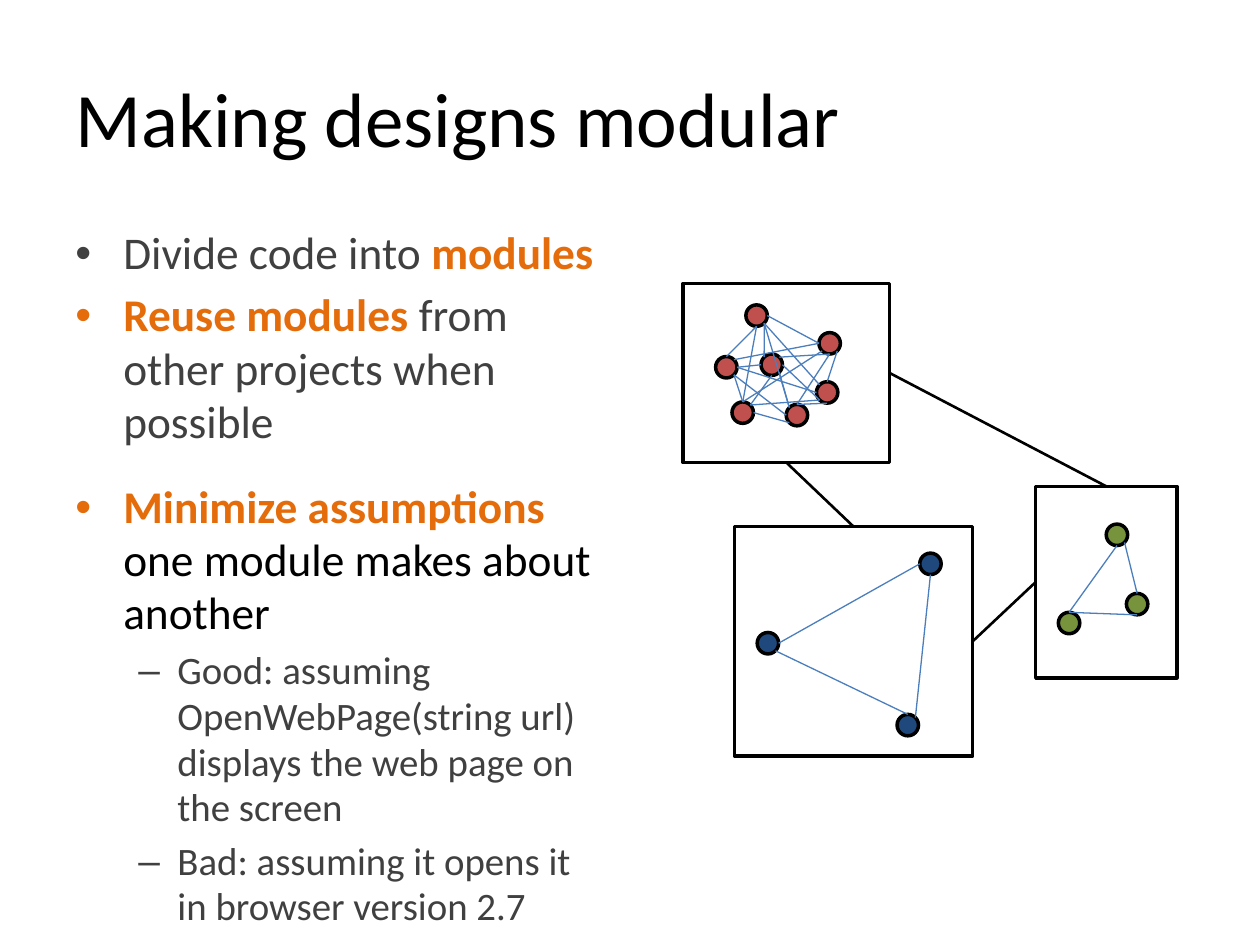
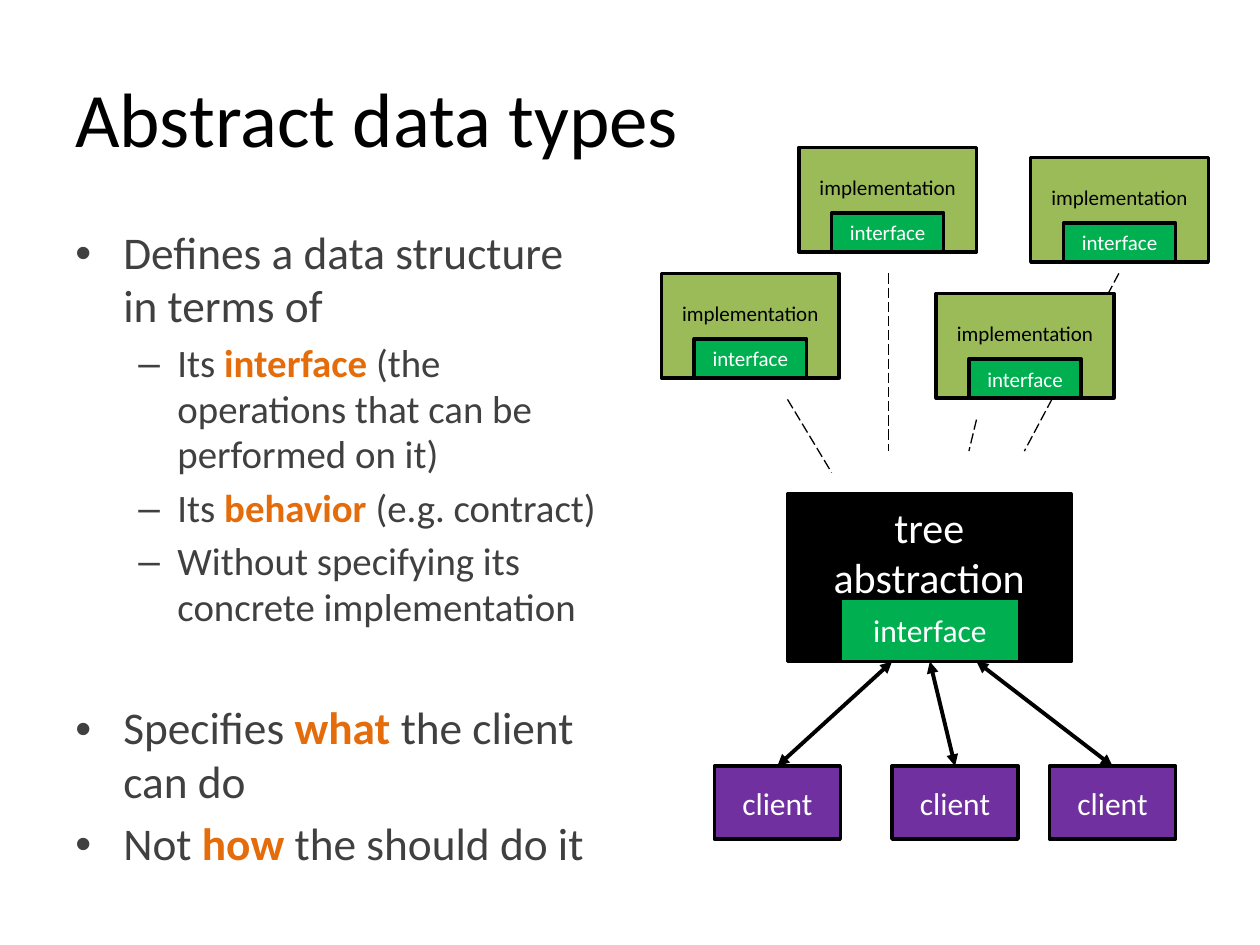
from math import copysign, sqrt

from lxml import etree
from pptx import Presentation
from pptx.dml.color import RGBColor
from pptx.enum.dml import MSO_LINE
from pptx.enum.shapes import MSO_CONNECTOR, MSO_SHAPE
from pptx.enum.text import MSO_ANCHOR, PP_ALIGN
from pptx.oxml.ns import qn
from pptx.util import Inches, Pt

RECTANGLE, ELLIPSE = MSO_SHAPE.RECTANGLE, MSO_SHAPE.OVAL
STRAIGHT, LONG_DASH = MSO_CONNECTOR.STRAIGHT, MSO_LINE.LONG_DASH
MIDDLE, CENTER = MSO_ANCHOR.MIDDLE, PP_ALIGN.CENTER

BLACK = RGBColor(0x00, 0x00, 0x00)
WHITE = RGBColor(0xFF, 0xFF, 0xFF)
GRAY = RGBColor(0x40, 0x40, 0x40)
ORANGE = RGBColor(0xE4, 0x6C, 0x0A)
EDGE_BLUE = RGBColor(0x4B, 0x7E, 0xBC)
NAVY = RGBColor(0x1F, 0x49, 0x7D)
RED = RGBColor(0xC0, 0x50, 0x4D)
OLIVE = RGBColor(0x77, 0x93, 0x3C)
LIME = RGBColor(0x9B, 0xBB, 0x59)
GREEN = RGBColor(0x00, 0xB0, 0x50)
PURPLE = RGBColor(0x70, 0x30, 0xA0)

# Level: bullet, left margin, hanging indent, font size, space before
LEVELS = [("•", 0.38, 0.38, 25.9, 5.2), ("–", 0.81, 0.31, 22.2, 4.4)]
DOT_SIZE = 0.17
DIRECTIONS = {"N": (0, -1), "E": (1, 0), "S": (0, 1), "W": (-1, 0),
              "NE": (1, -1), "SE": (1, 1), "SW": (-1, 1), "NW": (-1, -1)}


def site(box, direction):
    """Point on the outline of a box or dot, in inches."""
    across, down = DIRECTIONS[direction]
    if across and down:
        across, down = (copysign(sqrt(0.5), step) for step in (across, down))
    return ((box.left + box.width * (1 + across) / 2) / Inches(1),
            (box.top + box.height * (1 + down) / 2) / Inches(1))


class SlideBuilder:
    font_name = "Calibri"

    def __init__(self):
        self.deck = Presentation()
        self.deck.slide_width, self.deck.slide_height = Inches(10), Inches(7.5)
        self.page = None

    def new_page(self, title):
        self.page = self.deck.slides.add_slide(self.deck.slide_layouts[6])
        frame = self.text_frame(0.5, 0.3, 9, 1.25)
        frame.vertical_anchor = MIDDLE
        para = frame.paragraphs[0]
        para.text = title
        self.style(para.font, 44, BLACK)

    def style(self, font, size, color):
        font.name, font.size, font.color.rgb = self.font_name, Pt(size), color

    def text_frame(self, *place):
        frame = self.page.shapes.add_textbox(*map(Inches, place)).text_frame
        frame.word_wrap = True
        return frame

    def bullets(self, items):
        """Each item: level, spans as (text, color), optional space before."""
        frame = self.text_frame(0.5, 1.75, 4.42, 4.95)
        for index, (level, spans, *space) in enumerate(items):
            symbol, margin, hanging, size, usual_space = LEVELS[level]
            para = frame.add_paragraph() if index else frame.paragraphs[0]
            para.level = level
            para.line_spacing = 0.98
            para.space_before = Pt(space[0] if space else usual_space)
            para.font.name, para.font.size = self.font_name, Pt(size)
            for text, color in spans:
                span = para.add_run()
                span.text = text
                self.style(span.font, size, color)
                span.font.bold = color == ORANGE
            properties = para._p.get_or_add_pPr()
            properties.set("marL", str(Inches(margin)))
            properties.set("indent", str(-Inches(hanging)))
            bullet_font = etree.SubElement(properties, qn("a:buFont"))
            bullet_font.set("typeface", "Arial")
            etree.SubElement(properties, qn("a:buChar")).set("char", symbol)
            # Default run properties belong after the bullet
            properties.append(properties.find(qn("a:defRPr")))

    def shape(self, kind, place, fill=None, text="", size=18, color=WHITE,
              bottom_inset=0.05):
        box = self.page.shapes.add_shape(kind, *map(Inches, place))
        box.shadow.inherit = False
        if fill is None:
            box.fill.background()
        else:
            box.fill.solid()
            box.fill.fore_color.rgb = fill
        box.line.color.rgb, box.line.width = BLACK, Pt(2)
        if text:
            frame = box.text_frame
            frame.word_wrap = True
            frame.vertical_anchor = MIDDLE
            frame.margin_bottom = Inches(bottom_inset)
            para = frame.paragraphs[0]
            para.text, para.alignment = text, CENTER
            self.style(para.font, size, color)
        return box

    def line(self, start, end, color=BLACK, width=0.75, dash=None, arrows=False):
        link = self.page.shapes.add_connector(
            STRAIGHT, *map(Inches, (*start, *end)))
        link.line.color.rgb, link.line.width = color, Pt(width)
        if dash is not None:
            link.line.dash_style = dash
        if arrows:
            outline = link.line._get_or_add_ln()
            for tag in ("a:headEnd", "a:tailEnd"):
                etree.SubElement(outline, qn(tag)).set("type", "triangle")
        etree.SubElement(link._element.spPr, qn("a:effectLst"))

    def network(self, fill, corners, edges):
        """Dots at the corners; an edge such as 0E-1W joins two dot sites."""
        dots = [self.shape(ELLIPSE, (*corner, DOT_SIZE, DOT_SIZE), fill)
                for corner in corners]
        for edge in edges.split():
            start, end = (site(dots[int(name[0])], name[1:])
                          for name in edge.split("-"))
            self.line(start, end, EDGE_BLUE)

    def implementation(self, left, top):
        self.shape(RECTANGLE, (left, top, 1.41, 0.83), LIME,
                   "implementation", 12, BLACK, bottom_inset=0.25)
        self.shape(RECTANGLE, (left + 0.26, top + 0.52, 0.89, 0.31), GREEN,
                   "interface", 12)


def modular_designs(builder):
    builder.new_page("Making designs modular")
    builder.bullets([
        (0, [("Divide code into ", GRAY), ("modules", ORANGE)]),
        (0, [("Reuse modules ", ORANGE),
             ("from other projects when possible", GRAY)]),
        (0, [("Minimize assumptions ", ORANGE),
             ("one module makes about another", BLACK)], 18),
        (1, [("Good: assuming OpenWebPage(string url) displays the web page "
              "on the screen", GRAY)]),
        (1, [("Bad: assuming it opens it in browser version 2.7", GRAY)]),
    ])

    # Networks inside the modules
    builder.network(OLIVE, [(8.78, 4.16), (8.94, 4.71), (8.4, 4.86)],
                    "0S-2N 0SE-1N 1S-2N")
    builder.network(NAVY, [(6.01, 5.02), (7.3, 4.39), (7.12, 5.67)],
                    "0SE-2N 0E-1W 1S-2NE")
    builder.network(
        RED,
        [(5.92, 2.42), (6.5, 2.64), (5.68, 2.83), (6.48, 3.03),
         (6.04, 2.81), (5.81, 3.19), (6.24, 3.21)],
        "0E-1W 0S-2N 0SE-4NW 0SE-3NW 0SE-6NW 0S-5N 1W-2NE "
        "1SW-5N 1S-4NE 1S-6N 1SE-3N 2SE-5N 2E-4W 2SE-6W "
        "2E-3W 3SW-4E 3SW-5NE 3S-6N 4S-5NE 4SE-6NW 5E-6SW")

    # Modules and the links between them
    navy_module, olive_module, red_module = (
        builder.shape(RECTANGLE, place) for place in (
            (5.83, 4.18, 1.89, 1.82), (8.22, 3.86, 1.12, 1.52),
            (5.42, 2.25, 1.64, 1.42)))
    for first, first_side, second, second_side in (
            (navy_module, "E", olive_module, "W"),
            (olive_module, "N", red_module, "E"),
            (red_module, "S", navy_module, "N")):
        builder.line(site(first, first_side), site(second, second_side), width=1.5)


def abstract_data_types(builder):
    builder.new_page("Abstract data types")
    builder.bullets([
        (0, [("Defines a data structure in terms of", GRAY)]),
        (1, [("Its ", GRAY), ("interface ", ORANGE),
             ("(the operations that can be performed on it)", GRAY)]),
        (1, [("Its ", GRAY), ("behavior ", ORANGE), ("(e.g. contract)", GRAY)]),
        (1, [("Without specifying its concrete implementation", GRAY)]),
        (0, [("Specifies ", GRAY), ("what ", ORANGE),
             ("the client can do", GRAY)], 41),
        (0, [("Not ", GRAY), ("how ", ORANGE), ("the should do it", GRAY)]),
    ])

    # Dashed links from the implementations to the abstraction
    for start, end in (((8.88, 2.17), (8.13, 3.58)), ((6.25, 3.17), (6.6, 3.75)),
                       ((7.05, 2.17), (7.05, 3.58)), ((7.75, 3.33), (7.69, 3.58))):
        builder.line(start, end, dash=LONG_DASH)

    # Abstraction with its interface
    builder.shape(RECTANGLE, (6.25, 3.92, 2.25, 1.33), BLACK,
                  "tree abstraction", 24, bottom_inset=0.46)
    builder.shape(RECTANGLE, (6.67, 4.75, 1.42, 0.5), GREEN, "interface")

    # Clients, each with an arrow to the interface
    for left, interface_x in ((5.67, 7.08), (7.08, 7.38), (8.33, 7.75)):
        client = builder.shape(RECTANGLE, (left, 6.08, 1, 0.58), PURPLE, "client")
        builder.line((interface_x, 5.25), site(client, "N"), width=2.25, arrows=True)

    # Implementations
    for left, top in ((5.25, 2.17), (6.34, 1.17), (7.43, 2.33), (8.18, 1.25)):
        builder.implementation(left, top)


def main():
    builder = SlideBuilder()
    modular_designs(builder)
    abstract_data_types(builder)
    builder.deck.save("out.pptx")


if __name__ == "__main__":
    main()
